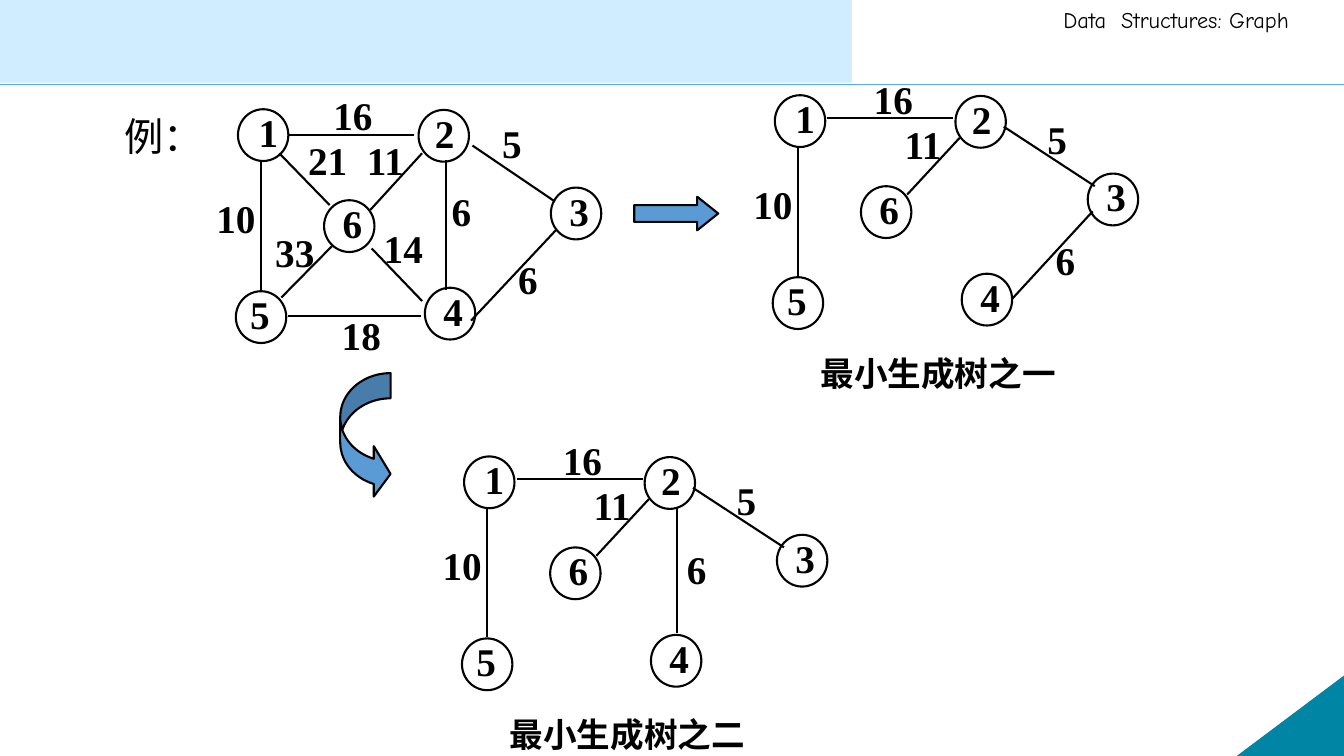
from lxml import etree
from pptx import Presentation
from pptx.dml.color import RGBColor
from pptx.enum import shapes, text
from pptx.oxml.ns import qn
from pptx.util import Pt

SERIF = "Times New Roman"
NODE_W, NODE_H = 36, 37

# Node number: left, top, and left inset of its digit, within a graph's box
NODES = {
    1: (1.5, 0, 9.5), 2: (130.5, 0.5, 6.5), 3: (225, 56, 8),
    4: (135, 127.5, 8), 5: (0, 130, 5), 6: (63, 65, 8),
}

# Edges: weight, start, end, and corner of the weight's label
EDGE_1_5 = ("10", (18, 36.5), (18, 129), (-21, 57))
NETWORK_EDGES = [
    EDGE_1_5,
    ("16", (37.5, 18.5), (127.5, 18.5), (62.5, -16)),
    ("18", (37.5, 147.5), (132, 147.5), (68.5, 140.5)),
    ("6", (150, 36.5), (150, 129.5), (147, 52)),
    ("21", (31, 31.5), (67, 68.5), (44.5, 16)),
    ("14", (97, 99.5), (133, 137), (98.5, 79)),
    ("11", (133, 31.5), (96, 72), (86.5, 16)),
    ("33", (68.5, 98), (32.5, 134.5), (21, 81.5)),
    ("5", (169, 26), (228, 66), (183, 3.5)),
    ("6", (229, 86), (168, 151), (194.5, 101)),
]
SHARED_TREE_EDGES = [
    EDGE_1_5,
    ("16", (39, 16), (129, 16), (65, -18)),
    ("11", (133.5, 30.5), (96, 71), (87, 14.5)),
    ("5", (165, 22.5), (230, 65), (189, 11)),
]
TREE_ONE_EDGES = SHARED_TREE_EDGES + [("6", (228.5, 83), (170.5, 146), (195, 97))]
TREE_TWO_EDGES = SHARED_TREE_EDGES + [("6", (153.5, 36), (153.5, 126), (153.5, 60))]


def colour(value):
    return RGBColor.from_string(value)


def add_run(para, words, size, font, bold=False):
    span = para.add_run()
    span.text = words
    span.font.size = Pt(size)
    span.font.name = font
    span.font.bold = bold
    span.font.color.rgb = colour("000000")


def add_text(page, left, top, width, height, words, size, font, bold=False):
    box = page.shapes.add_textbox(Pt(left), Pt(top), Pt(width), Pt(height))
    box.text_frame.word_wrap = True
    para = box.text_frame.paragraphs[0]
    add_run(para, words, size, font, bold)
    return para


def add_shape(page, kind, left, top, width, height, fill, line=None, weight=1.5):
    shape = page.shapes.add_shape(kind, Pt(left), Pt(top), Pt(width), Pt(height))
    shape.shadow.inherit = False
    shape.fill.solid()
    shape.fill.fore_color.rgb = colour(fill)
    if line:
        shape.line.color.rgb = colour(line)
        shape.line.width = Pt(weight)
    else:
        shape.line.fill.background()
    return shape


def add_line(page, start, end, line="000000", weight=1.5):
    connector = page.shapes.add_connector(
        shapes.MSO_CONNECTOR.STRAIGHT, *(Pt(v) for v in (*start, *end)))
    connector.line.color.rgb = colour(line)
    connector.line.width = Pt(weight)
    etree.SubElement(connector._element.spPr, qn("a:effectLst"))


def add_node(page, left, top, number, inset):
    node = add_shape(page, shapes.MSO_SHAPE.OVAL, left, top, NODE_W, NODE_H,
                     "FFFFFF", "000000")
    frame = node.text_frame
    frame.word_wrap = True
    frame.vertical_anchor = text.MSO_ANCHOR.MIDDLE
    frame.margin_left, frame.margin_right = Pt(inset), 0
    frame.margin_top, frame.margin_bottom = 0, Pt(4.5)
    para = frame.paragraphs[0]
    para.alignment = text.PP_ALIGN.LEFT
    add_run(para, str(number), 28, SERIF, True)


def add_graph(page, left, top, edges):
    for number, (x, y, inset) in NODES.items():
        add_node(page, left + x, top + y, number, inset)
    for weight, start, end, label in edges:
        add_line(page, (left + start[0], top + start[1]),
                 (left + end[0], top + end[1]))
        add_text(page, left + label[0], top + label[1], 48, 41,
                 weight, 28, SERIF, True)


def add_tree(page, left, top, edges, caption, caption_dx, caption_dy):
    add_graph(page, left, top, edges)
    add_text(page, left + caption_dx, top + caption_dy, 240, 33.5,
             caption, 24, "Calibri", True)


def add_frame(page, width, height):
    # Header band, rule and course name
    add_line(page, (0, 60.5), (width, 60.5), "5AAAED", 1)
    add_shape(page, shapes.MSO_SHAPE.RECTANGLE, 0, 0, 608.5, 59, "CFEDFE")
    add_text(page, width - 207.5, 0.75, 207.5, 26.5,
             "Data  Structures: Graph", 16, "Comic Neue")
    # Corner triangle
    corner = add_shape(page, shapes.MSO_SHAPE.RIGHT_TRIANGLE, width - 76, height - 57,
                       76, 57, "0085A4", "0085A4", 0.75)
    corner._element.spPr.xfrm.set("flipH", "1")


def add_arrow(page, kind, left, top, width, height, adjustments):
    arrow = add_shape(page, kind, left, top, width, height, "5B9BD5", "000000")
    for index, value in enumerate(adjustments):
        arrow.adjustments[index] = value


def main():
    deck = Presentation()
    width, height = 960, 540
    deck.slide_width, deck.slide_height = Pt(width), Pt(height)
    page = deck.slides.add_slide(deck.slide_layouts[6])

    add_frame(page, width, height)

    # Weighted network
    heading = add_text(page, 82, 83, 108, 36, "例：", 28, SERIF)
    heading.line_spacing = 0.8
    add_graph(page, 168.5, 78, NETWORK_EDGES)

    # Two minimum spanning trees, each led to by an arrow
    add_arrow(page, shapes.MSO_SHAPE.RIGHT_ARROW, 453, 140.5, 60, 24, (0.5, 0.625))
    add_tree(page, 552, 68, TREE_ONE_EDGES, "最小生成树之一", 27, 180.5)
    add_tree(page, 330, 326, TREE_TWO_EDGES, "最小生成树之二", 27, 180.5)
    add_arrow(page, shapes.MSO_SHAPE.CURVED_RIGHT_ARROW, 243, 266.5, 36, 90,
              (0.5, 1, 0.333))

    deck.save("out.pptx")


if __name__ == "__main__":
    main()
